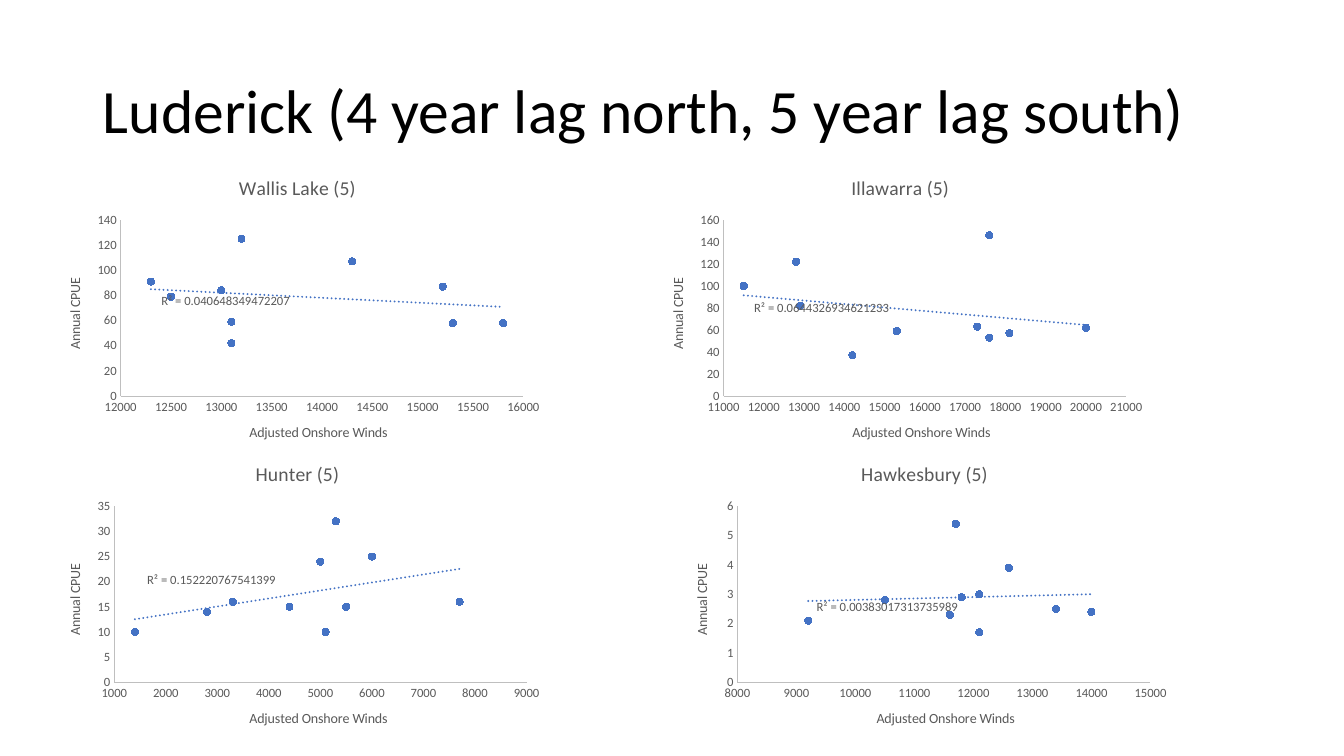
from pptx import Presentation
from pptx.chart.data import XyChartData
from pptx.dml.color import RGBColor
from pptx.enum.chart import XL_CHART_TYPE, XL_MARKER_STYLE, XL_TICK_MARK
from pptx.enum.text import MSO_ANCHOR, PP_ALIGN
from pptx.oxml import parse_xml
from pptx.oxml.ns import nsdecls, qn
from pptx.util import Inches, Pt

FONT = "Calibri"
BLUE, GRAY, PALE, BLACK = "4472C4", "595959", "BFBFBF", "000000"

# Title, left, top, x scale and y scale (low, high, step), points
PLOTS = [
    ("Wallis Lake (5)", 0.45, 1.58, (12000, 16000, 500), (0, 140, 20),
     [(13100, 42), (13100, 59), (15800, 58), (15300, 58), (13000, 84),
      (12300, 91), (12500, 79), (15200, 87), (14300, 107), (13200, 125)]),
    ("Illawarra (5)", 6.43, 1.58, (11000, 21000, 1000), (0, 160, 20),
     [(14200, 37), (15300, 59), (18100, 57), (12900, 82), (11500, 100),
      (12800, 122), (17600, 53), (17300, 63), (20000, 62), (17600, 146)]),
    ("Hunter (5)", 0.45, 4.42, (1000, 9000, 1000), (0, 35, 5),
     [(5500, 15), (5000, 24), (5100, 10), (4400, 15), (2800, 14),
      (3300, 16), (1400, 10), (7700, 16), (6000, 25), (5300, 32)]),
    ("Hawkesbury (5)", 6.67, 4.42, (8000, 15000, 1000), (0, 6, 1),
     [(12100, 3), (11800, 2.9), (14000, 2.4), (11600, 2.3), (9200, 2.1),
      (10500, 2.8), (11700, 5.4), (13400, 2.5), (12600, 3.9), (12100, 1.7)]),
]

# Fit of each trend: text, left, top
FITS = [
    ("R² = 0.040648349472207", 1.6, 2.88),
    ("R² = 0.0644326934621233", 7.48, 2.95),
    ("R² = 0.152220767541399", 1.46, 5.65),
    ("R² = 0.00383017313735989", 8.1, 5.92),
]

TREND = f"""<c:trendline {nsdecls("c", "a")}>
  <c:spPr><a:ln w="19050" cap="rnd">
    <a:solidFill><a:srgbClr val="{BLUE}"/></a:solidFill>
    <a:prstDash val="sysDot"/></a:ln></c:spPr>
  <c:trendlineType val="linear"/>
  <c:dispRSqr val="0"/><c:dispEq val="0"/>
</c:trendline>"""


def color(text):
    """Turn a hex string into a colour."""
    return RGBColor.from_string(text)


def set_font(font, size, tone):
    """Set the face, size and colour of a font."""
    font.name, font.size, font.bold = FONT, Pt(size), False
    font.color.rgb = color(tone)


def label(frame, text, size):
    """Write a small gray text."""
    frame.text = text
    set_font(frame.paragraphs[0].font, size, GRAY)


def set_axis(axis, text, scale):
    """Style one axis and give it a title and a scale."""
    axis.minimum_scale, axis.maximum_scale, axis.major_unit = scale
    axis.has_major_gridlines = False
    axis.major_tick_mark = axis.minor_tick_mark = XL_TICK_MARK.NONE
    axis.format.line.color.rgb = color(PALE)
    axis.format.line.width = Pt(0.75)
    set_font(axis.tick_labels.font, 9, GRAY)
    label(axis.axis_title.text_frame, text, 10)


def add_plot(slide, name, left, top, wide, high, points):
    """Add a scatter chart with a dotted linear trend."""
    data = XyChartData(number_format="General")
    group = data.add_series("Series 1")
    for x, y in points:
        group.add_data_point(x, y)
    chart = slide.shapes.add_chart(
        XL_CHART_TYPE.XY_SCATTER, Inches(left), Inches(top),
        Inches(5), Inches(3), data).chart
    set_font(chart.font, 10, BLACK)
    chart.has_legend = False
    label(chart.chart_title.text_frame, name, 14)
    chart.chart_title.include_in_layout = False
    set_axis(chart.category_axis, "Adjusted Onshore Winds", wide)
    set_axis(chart.value_axis, "Annual CPUE", high)
    plot = chart.plots[0]
    plot.vary_by_categories = False
    style_dots(plot.series[0])


def style_dots(series):
    """Show the series as round dots with a trend line."""
    series.smooth = False
    series.format.line.fill.background()
    mark = series.marker
    mark.style, mark.size = XL_MARKER_STYLE.CIRCLE, 5
    mark.format.fill.solid()
    mark.format.fill.fore_color.rgb = color(BLUE)
    mark.format.line.color.rgb = color(BLUE)
    series._element.find(qn("c:xVal")).addprevious(parse_xml(TREND))


def add_fit(slide, text, left, top):
    """Add the fit of a trend line as a text box."""
    box = slide.shapes.add_textbox(
        Inches(left), Inches(top), Inches(1.6), Inches(0.2))
    frame = box.text_frame
    frame.word_wrap = True
    frame.vertical_anchor = MSO_ANCHOR.MIDDLE
    frame.margin_left = frame.margin_right = 0
    frame.margin_top = frame.margin_bottom = 0
    label(frame, text, 9)


def add_title(slide, text):
    """Place and format the slide title."""
    title = slide.shapes.title
    title.left, title.top = Inches(0.92), Inches(0.4)
    title.width, title.height = Inches(11.5), Inches(1.45)
    frame = title.text_frame
    frame.text = text
    frame.vertical_anchor = MSO_ANCHOR.MIDDLE
    para = frame.paragraphs[0]
    para.alignment, para.line_spacing = PP_ALIGN.LEFT, 0.9
    set_font(para.font, 44, BLACK)


def main():
    """Build the slide and save it."""
    deck = Presentation()
    deck.slide_width, deck.slide_height = Inches(13.33), Inches(7.5)
    slide = deck.slides.add_slide(deck.slide_layouts[5])
    add_title(slide, "Luderick (4 year lag north, 5 year lag south)")
    for plot in PLOTS:
        add_plot(slide, *plot)
    for fit in FITS:
        add_fit(slide, *fit)
    deck.save("out.pptx")


main()
